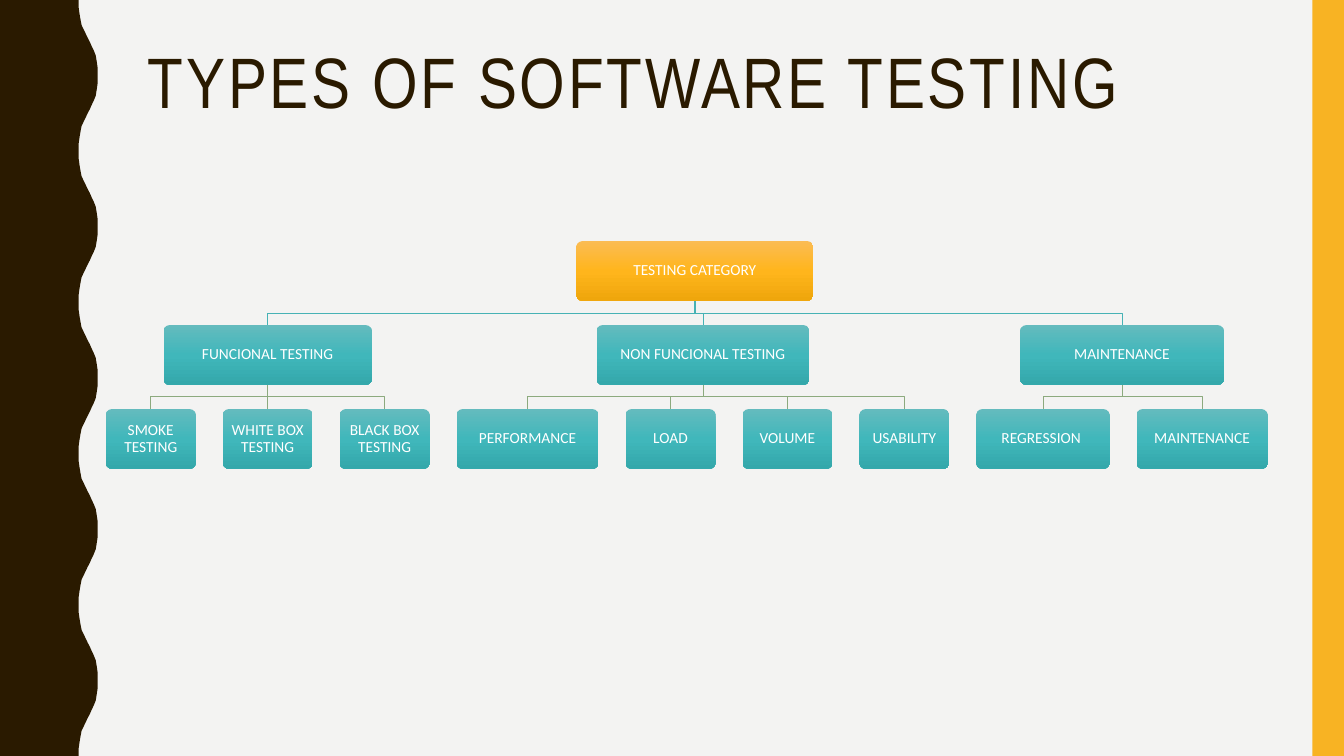
from copy import deepcopy
from pptx import Presentation
from pptx.dml.color import RGBColor
from pptx.enum.shapes import MSO_CONNECTOR as Wire, MSO_SHAPE as Kind
from pptx.enum.text import MSO_ANCHOR as Anchor, MSO_AUTO_SIZE as Fit, PP_ALIGN as Align
from pptx.oxml.ns import qn
from pptx.oxml.xmlchemy import OxmlElement as Node
from pptx.util import Inches, Pt

COLS, ROWS = 160, 90
TOP, STEP, TALL, GAP, LEFT = 28.7, 10, 7.1, 3.22, 12.6
BROWN, GOLD, PAPER, WHITE = "2A1A00", "F8B323", "F3F3F2", "FFFFFF"
AMBER = "FBBC54", "FFB51C", "EFA60C"
TEAL = "64BBBE", "40B7BB", "34A8AB"
BLUE, GREEN = "46B2B5", "8CAA7E"
CURVE = [(9.36, 0), (9.36, 0.84), (9.48, 1.68), (9.6, 2.4), (9.72, 3),
         (9.96, 3.5), (10.2, 4), (10.44, 4.5), (10.7, 5), (10.92, 5.5),
         (11.16, 6), (11.4, 6.6), (11.52, 7.32), (11.64, 8.16), (11.64, 9)]
TREE = [
    ("FUNCIONAL TESTING", 24.8,
     [("SMOKE TESTING", 10.7), ("WHITE BOX TESTING", 10.7), ("BLACK BOX TESTING", 10.7)]),
    ("NON FUNCIONAL TESTING", 25.35,
     [("PERFORMANCE", 16.9), ("LOAD", 10.7), ("VOLUME", 10.7), ("USABILITY", 10.7)]),
    ("MAINTENANCE", 24.25,
     [("REGRESSION ", 15.85), ("MAINTENANCE", 15.6)]),
]


def tint(code):
    return RGBColor.from_string(code)


class Deck:
    """Hold the style and the current slide, measured in grid cells."""

    def __init__(self):
        self.show = Presentation()
        self.show.slide_width, self.show.slide_height = self.cell(COLS), self.cell(ROWS)
        self.slide = self.show.slides.add_slide(self.show.slide_layouts[5])
        self.slide.background.fill.solid()
        self.slide.background.fill.fore_color.rgb = tint(PAPER)
        self.shapes = self.slide.shapes

    def cell(self, count):
        return Inches(count / 12)

    def label(self, frame, text, size, face, code, align):
        frame.word_wrap = True
        par = frame.paragraphs[0]
        par.alignment, par.line_spacing = align, 0.9
        run = par.add_run()
        run.text = text
        run.font.size, run.font.name = Pt(size), face
        run.font.color.rgb = tint(code)
        return run

    def title(self, text, *place):
        head = self.shapes.title
        head.left, head.top, head.width, head.height = map(self.cell, place)
        frame = head.text_frame
        frame.auto_size, frame.vertical_anchor = Fit.NONE, Anchor.TOP
        run = self.label(frame, text, 51, "Arial Narrow", BROWN, Align.LEFT)
        run.font._element.set("spc", "200")

    def plain(self, shape, code):
        shape.shadow.inherit = False
        shape.fill.solid()
        shape.fill.fore_color.rgb = tint(code)
        shape.line.fill.background()

    def band(self, code, *place):
        self.plain(self.shapes.add_shape(Kind.RECTANGLE, *map(self.cell, place)), code)

    def trace(self, dots, close):
        dots = [(self.cell(x), self.cell(y)) for x, y in dots]
        outline = self.shapes.build_freeform(*dots[0], scale=1.0)
        outline.add_line_segments(dots[1:], close=close)
        return outline.convert_to_shape()

    def wave(self, code):
        half = CURVE + [(x, 18 - y) for x, y in CURVE[-2:0:-1]]
        edge = [(x, y + 18 * turn) for turn in range(5) for x, y in half]
        dots = [(0, 0), *edge, (CURVE[0][0], ROWS), (0, ROWS)]
        self.plain(self.trace(dots, True), code)

    def link(self, start, end, level, code):
        high, low = TOP + STEP * level + TALL, TOP + STEP * (level + 1)
        mid = (high + low) / 2
        if abs(start - end) < 0.1:
            ends = map(self.cell, (start, high, start, low))
            line = self.shapes.add_connector(Wire.STRAIGHT, *ends)
            line._element.spPr.append(Node("a:effectLst"))
        else:
            line = self.trace([(start, high), (start, mid), (end, mid), (end, low)], False)
            line.shadow.inherit = False
            line.fill.background()
        line.line.color.rgb, line.line.width = tint(code), Pt(0.5)

    def box(self, text, center, width, level, codes):
        place = center - width / 2, TOP + STEP * level, width, TALL
        box = self.shapes.add_shape(Kind.ROUNDED_RECTANGLE, *map(self.cell, place))
        box.adjustments[0] = 0.1
        box.shadow.inherit = False
        box.line.fill.background()
        box.fill.gradient()
        box.fill.gradient_angle = 270
        stops = next(box._element.spPr.iter(qn("a:gsLst")))
        stops.append(deepcopy(stops[0]))
        for stop, spot, code in zip(box.fill.gradient_stops, (0, 0.5, 1), codes):
            stop.position, stop.color.rgb = spot, tint(code)
        frame = box.text_frame
        frame.vertical_anchor = Anchor.MIDDLE
        frame.margin_left = frame.margin_right = Inches(0.05)
        frame.margin_top = frame.margin_bottom = Inches(0.05)
        self.label(frame, text, 11, "Calibri", WHITE, Align.CENTER)


deck = Deck()
deck.title("TYPES OF SOFTWARE TESTING", 16.4, 5, 133.6, 19.5)
deck.wave(BROWN)
deck.band(GOLD, 156.25, 0, 3.75, ROWS)

left, heads = LEFT, []
for name, width, kids in TREE:
    span = sum(size for _, size in kids) + GAP * (len(kids) - 1)
    center = left + span / 2
    heads.append(center)
    for kid, size in kids:
        deck.link(center, left + size / 2, 1, GREEN)
        deck.box(kid, left + size / 2, size, 2, TEAL)
        left += size + GAP
    deck.box(name, center, width, 1, TEAL)

root = (heads[0] + heads[-1]) / 2
for center in heads:
    deck.link(root, center, 0, BLUE)
deck.box("TESTING CATEGORY", root, 28.2, 0, AMBER)
deck.show.save("out.pptx")
